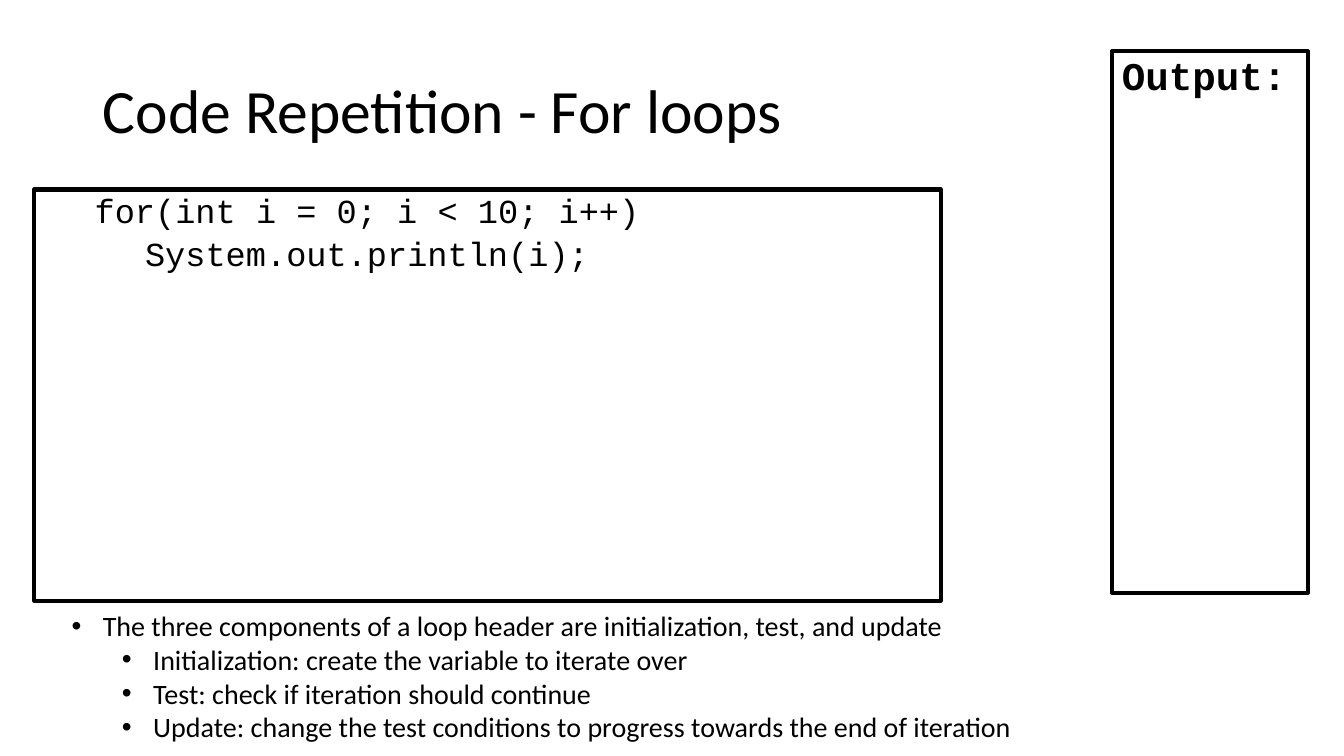
from dataclasses import dataclass

from lxml import etree
from pptx import Presentation
from pptx.dml.color import RGBColor
from pptx.enum.shapes import MSO_SHAPE
from pptx.enum.text import MSO_ANCHOR, MSO_AUTO_SIZE, PP_ALIGN
from pptx.oxml.ns import qn
from pptx.util import Inches, Pt

RECT = MSO_SHAPE.RECTANGLE
TOP, MIDDLE = MSO_ANCHOR.TOP, MSO_ANCHOR.MIDDLE
NO_FIT = MSO_AUTO_SIZE.NONE
LEFT = PP_ALIGN.LEFT


@dataclass(frozen=True)
class Theme:
    ink: RGBColor = RGBColor(0, 0, 0)
    sans: str = "Calibri"
    mono: str = "Courier New"
    title: int = 44
    label: int = 28
    code: int = 24
    note: int = 20
    border: int = 3


class Deck:
    def __init__(self, theme):
        self.theme = theme
        self.file = Presentation()
        self.file.slide_width = Inches(13.33)
        self.file.slide_height = Inches(7.5)
        self.slide = self.file.slides.add_slide(self.file.slide_layouts[1])

    def place(self, shape, left, top, width, height):
        shape.left, shape.top = Inches(left), Inches(top)
        shape.width, shape.height = Inches(width), Inches(height)

    def frame(self, shape, anchor=TOP):
        frame = shape.text_frame
        frame.word_wrap = True
        frame.auto_size = NO_FIT
        frame.vertical_anchor = anchor
        return frame

    def line(self, frame, text, size, face, bold=False, space=0, lead=0.9):
        """Fill the empty first paragraph, or add one below with space before."""
        para = frame.paragraphs[0]
        first = not para.runs
        if not first:
            para = frame.add_paragraph()
        para.alignment = LEFT
        para.line_spacing = lead
        para.space_before = Pt(0 if first else space)
        run = para.add_run()
        run.text = text
        run.font.size = Pt(size)
        run.font.name = face
        run.font.bold = bold
        run.font.color.rgb = self.theme.ink
        return para

    def indent(self, para, margin, hang):
        props = para._p.get_or_add_pPr()
        props.set("marL", str(Inches(margin)))
        props.set("indent", str(Inches(hang)))
        return props

    def title(self, text, *area):
        shape = self.slide.shapes.title
        self.place(shape, *area)
        self.line(self.frame(shape, MIDDLE), text, self.theme.title, self.theme.sans)

    def panel(self, *area):
        """Draw an outlined box and return its text frame."""
        shape = self.slide.shapes.add_shape(RECT, *map(Inches, area))
        shape.shadow.inherit = False
        shape.fill.background()
        shape.line.color.rgb = self.theme.ink
        shape.line.width = Pt(self.theme.border)
        return self.frame(shape)

    def label(self, text, *area):
        self.line(self.panel(*area), text, self.theme.label, self.theme.mono, bold=True)

    def code(self, lines, *area):
        frame = self.panel(*area)
        for depth, text in lines:
            para = self.line(frame, text, self.theme.code, self.theme.mono, space=5)
            para.level = 1
            self.indent(para, 0.5, 0.5 * depth)

    def bullets(self, items, *area):
        shape = self.slide.placeholders[1]
        self.place(shape, *area)
        frame = self.frame(shape)
        for level, text in items:
            para = self.line(frame, text, self.theme.note, self.theme.sans, lead=1.0)
            para.level = level
            props = self.indent(para, 0.31 + 0.5 * level, -0.31)
            etree.SubElement(props, qn("a:buFont"), typeface="Arial")
            etree.SubElement(props, qn("a:buChar"), char="•")


def main():
    deck = Deck(Theme())
    deck.title("Code Repetition - For loops", 0.92, 0.4, 11.5, 1.45)
    deck.label("Output:", 11.03, 0.51, 1.94, 5.37)
    deck.code([
        (0, "for(int i = 0; i < 10; i++)"),
        (1, "System.out.println(i);"),
    ], 0.34, 1.88, 8.99, 4.08)
    deck.bullets([
        (0, "The three components of a loop header are initialization, test, and update"),
        (1, "Initialization: create the variable to iterate over"),
        (1, "Test: check if iteration should continue"),
        (1, "Update: change the test conditions to progress towards the end of iteration"),
    ], 0.61, 5.99, 12.06, 1.45)
    deck.file.save("out.pptx")


if __name__ == "__main__":
    main()
